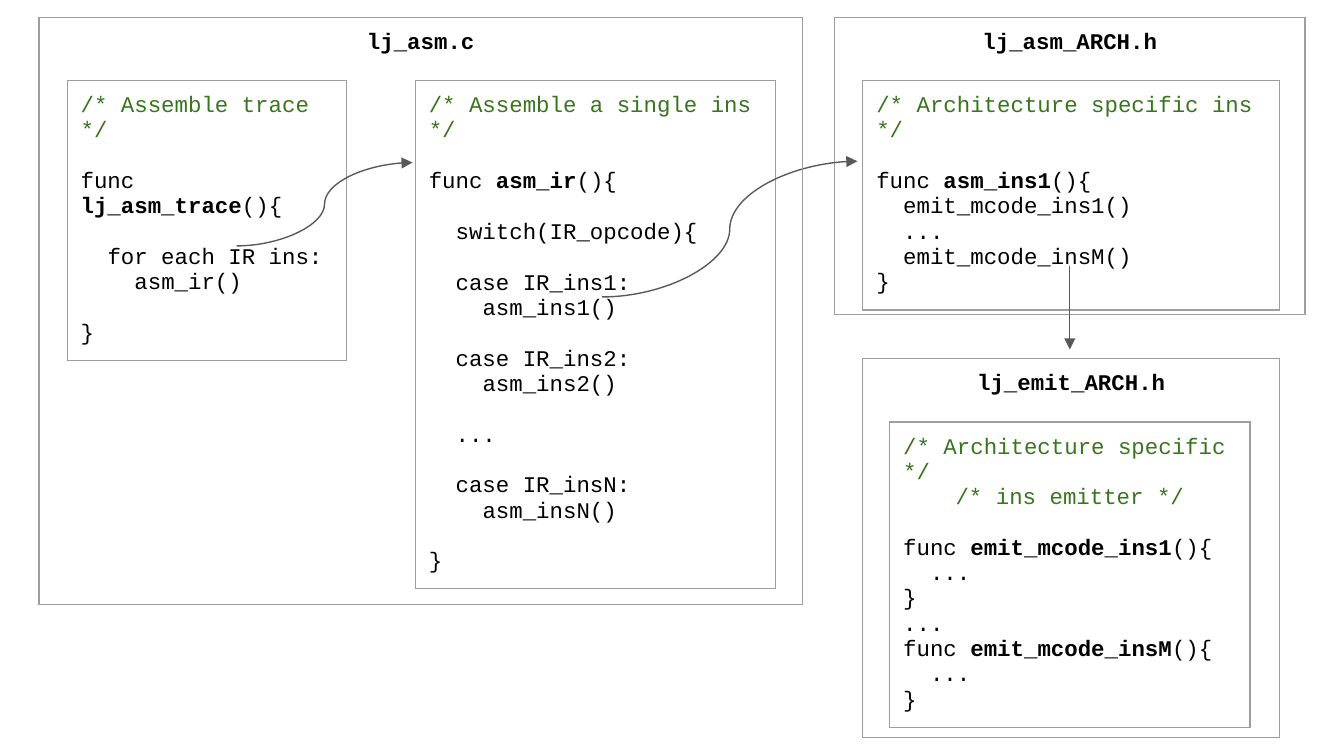
"""Build a slide that maps the call flow between assembler source files."""
import dataclasses

import pptx
import pptx.dml.color
import pptx.enum.shapes
import pptx.enum.text
import pptx.oxml
import pptx.oxml.ns
import pptx.util
from pptx.util import Inches

ALIGN = pptx.enum.text.PP_ALIGN
CONNECTOR = pptx.enum.shapes.MSO_CONNECTOR


@dataclasses.dataclass(frozen=True)
class Theme:
    font: str = "Courier New"
    size: float = 12
    blank_line: float = 13.6
    character_width: float = 7.2
    line_width: float = 0.75
    text: str = "000000"
    comment: str = "38761D"
    border: str = "9E9E9E"
    arrow: str = "595959"


THEME = Theme()

TRACE_CODE = """
/* Assemble trace */

func lj_asm_trace(){

  for each IR ins:
    asm_ir()

}
"""

SINGLE_CODE = """
/* Assemble a single ins */

func asm_ir(){

  switch(IR_opcode){

  case IR_ins1:
    asm_ins1()

  case IR_ins2:
    asm_ins2()

  ...

  case IR_insN:
    asm_insN()

}
"""

ARCHITECTURE_CODE = """
/* Architecture specific ins */

func asm_ins1(){
  emit_mcode_ins1()
  ...
  emit_mcode_insM()
}
"""

EMITTER_CODE = """
/* Architecture specific */
  /* ins emitter */

func emit_mcode_ins1(){
  ...
}
...
func emit_mcode_insM(){
  ...
}
"""


def add_text(paragraph, text, color=THEME.text, bold=False):
    """Append one formatted run to a paragraph."""
    run = paragraph.add_run()
    run.text = text
    run.font.name = THEME.font
    run.font.size = pptx.util.Pt(THEME.size)
    run.font.bold = bold
    run.font.color.rgb = pptx.dml.color.RGBColor.from_string(color)


def add_borders(cell):
    """Draw the four borders of a table cell."""
    properties = cell._tc.get_or_add_tcPr()
    for side in "LRTB":
        properties.append(pptx.oxml.parse_xml(
            f'<a:ln{side} {pptx.oxml.ns.nsdecls("a")} w="{pptx.util.Pt(THEME.line_width)}">'
            f'<a:solidFill><a:srgbClr val="{THEME.border}"/></a:solidFill></a:ln{side}>'
        ))


def add_box(slide, left, top, width, height, anchor):
    """Add a bordered one-cell table and return its text frame."""
    bounds = [Inches(length) for length in (left, top, width, height)]
    table = slide.shapes.add_table(1, 1, *bounds).table
    table.first_row = table.horz_banding = False
    cell = table.cell(0, 0)
    cell.margin_left = cell.margin_right = Inches(0.1)
    cell.margin_top = cell.margin_bottom = Inches(0.1)
    cell.vertical_anchor = anchor
    add_borders(cell)
    cell.fill.background()
    return cell.text_frame


def add_file_box(slide, name, *bounds):
    """Add a file outline with its name centred at the top."""
    frame = add_box(slide, *bounds, anchor=pptx.enum.text.MSO_ANCHOR.TOP)
    paragraph = frame.paragraphs[0]
    paragraph.alignment = ALIGN.CENTER
    add_text(paragraph, name, bold=True)


def add_code_line(paragraph, line):
    """Write a code line, centring an indented comment and bolding a function name."""
    code = line.lstrip()
    indent = len(line) - len(code)
    if code.startswith("/*"):
        paragraph.alignment = ALIGN.CENTER if indent else ALIGN.LEFT
        add_text(paragraph, code, color=THEME.comment)
        return
    properties = paragraph._p.get_or_add_pPr()
    properties.set("marL", str(pptx.util.Pt(indent * THEME.character_width)))
    properties.set("indent", "0")
    if code.startswith("func "):
        name, bracket, rest = code.removeprefix("func ").partition("(")
        add_text(paragraph, "func ")
        add_text(paragraph, name, bold=True)
        add_text(paragraph, bracket + rest)
    else:
        add_text(paragraph, code)


def add_code_box(slide, listing, *bounds):
    """Add a code box, turning blank lines into spacing before the next line."""
    frame = add_box(slide, *bounds, anchor=pptx.enum.text.MSO_ANCHOR.MIDDLE)
    paragraph, gap = frame.paragraphs[0], 0
    for number, line in enumerate(listing.strip().splitlines()):
        if not line:
            gap = THEME.blank_line
            continue
        if number:
            paragraph = frame.add_paragraph()
        paragraph.space_before = pptx.util.Pt(gap)
        add_code_line(paragraph, line)
        gap = 0


def add_arrow(slide, kind, *ends):
    """Add a connector with a triangle at its end."""
    connector = slide.shapes.add_connector(kind, *[Inches(length) for length in ends])
    connector.line.width = pptx.util.Pt(THEME.line_width)
    connector.line.color.rgb = pptx.dml.color.RGBColor.from_string(THEME.arrow)
    namespace = pptx.oxml.ns.nsdecls("a")
    connector.line._get_or_add_ln().append(
        pptx.oxml.parse_xml(f'<a:tailEnd {namespace} type="triangle"/>'))
    connector._element.spPr.append(pptx.oxml.parse_xml(f"<a:effectLst {namespace}/>"))


def main():
    """Build and save the presentation."""
    presentation = pptx.Presentation()
    presentation.slide_width = Inches(10)
    presentation.slide_height = presentation.slide_width * 9 // 16
    slide = presentation.slides.add_slide(presentation.slide_layouts[6])

    add_file_box(slide, "lj_emit_ARCH.h", 6.42, 2.67, 3.1, 2.82)
    add_file_box(slide, "lj_asm_ARCH.h", 6.21, 0.13, 3.5, 2.21)
    add_code_box(slide, TRACE_CODE, 0.5, 0.6, 2.08, 1.33)
    add_code_box(slide, SINGLE_CODE, 3.09, 0.6, 2.68, 3.39)
    add_code_box(slide, ARCHITECTURE_CODE, 6.42, 0.6, 3.1, 1.39)
    add_code_box(slide, EMITTER_CODE, 6.62, 3.14, 2.68, 1.65)
    add_arrow(slide, CONNECTOR.CURVE, 1.76, 1.83, 3.07, 1.21)
    add_arrow(slide, CONNECTOR.CURVE, 4.48, 2.21, 6.38, 1.2)
    add_arrow(slide, CONNECTOR.STRAIGHT, 7.96, 1.98, 7.96, 2.6)
    add_file_box(slide, "lj_asm.c", 0.29, 0.13, 5.68, 4.37)

    presentation.save("out.pptx")


if __name__ == "__main__":
    main()
